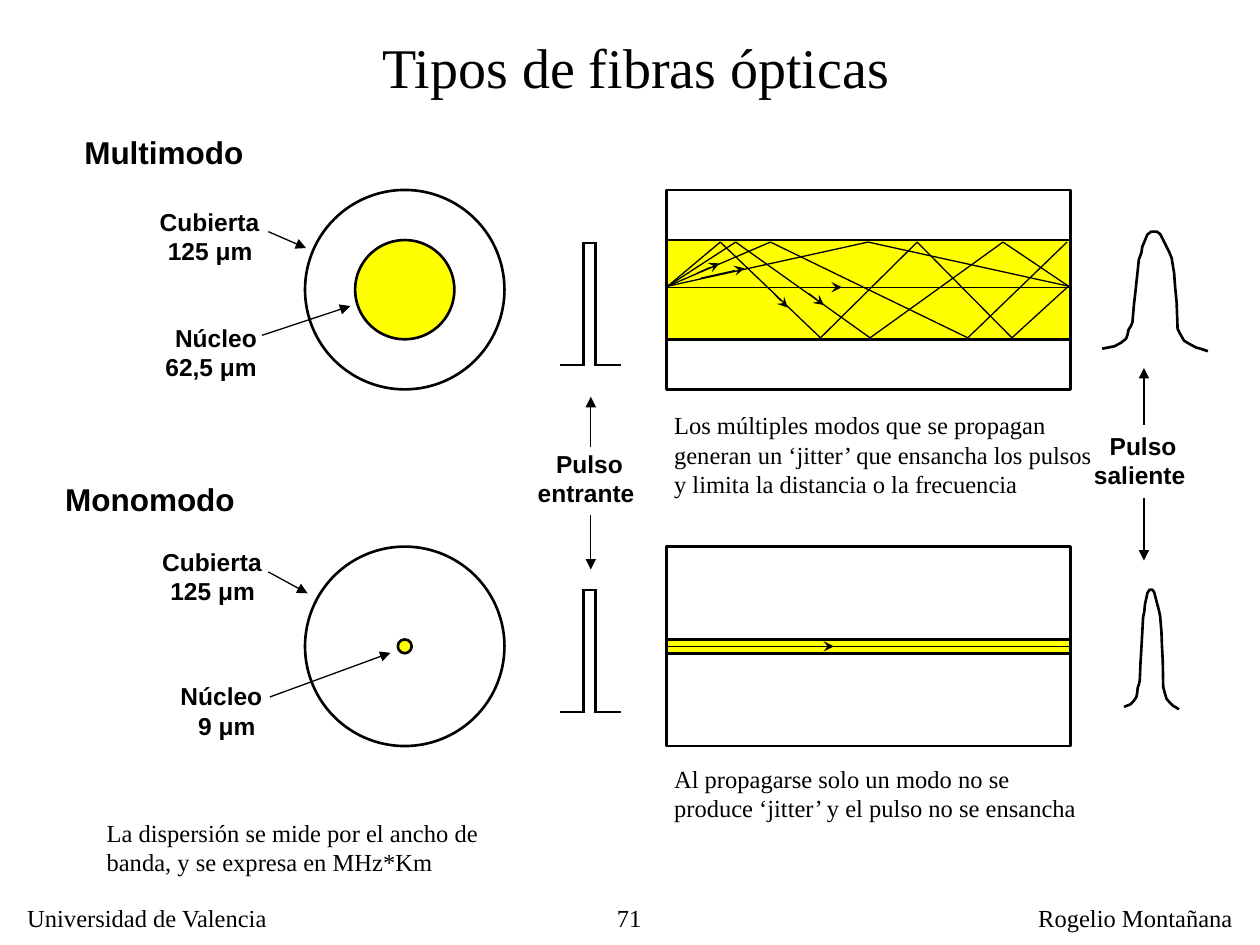
from itertools import cycle, pairwise

from lxml.etree import SubElement
from pptx import Presentation
from pptx.dml.color import RGBColor
from pptx.enum.shapes import MSO_CONNECTOR, MSO_SHAPE
from pptx.enum.text import MSO_ANCHOR, MSO_AUTO_SIZE, PP_ALIGN
from pptx.oxml.ns import qn
from pptx.util import Cm, Pt

BLACK = RGBColor(0x00, 0x00, 0x00)
YELLOW = RGBColor(0xFF, 0xFF, 0x00)
SERIF = "Times New Roman"
SANS = "Arial"
THICK = 1.5
THIN = 0.75

SECTION_X = 8.16
CLADDING = 4.02
FIBRE_LEFT = 13.44
FIBRE_WIDTH = 8.14
MULTIMODE_Y = 5.84
MONOMODE_Y = 13.03

ENTRY = (13.46, 5.77)
EXIT = (21.54, 5.77)
CORE_TOP = 4.88
CORE_BOTTOM = 6.81
MODES = [
    ([17.5], True),
    ([15.53, 19.51, 21.51], False),
    ([14.83, 17.54, 20.22], True),
    ([14.52, 16.54, 18.49, 20.4], True),
]
RAY_DIRECTIONS = [
    ((14.12, 5.61), (15.01, 5.41)),
    ((14.05, 5.51), (14.5, 5.31)),
    ((16.41, 5.79), (16.97, 5.79)),
    ((15.62, 5.94), (15.88, 6.2)),
    ((16.31, 5.92), (16.61, 6.15)),
    ((16.38, MONOMODE_Y), (16.81, MONOMODE_Y)),
]
POINTERS = [
    ((5.41, 4.67), (6.17, 5.0)),
    ((5.28, 6.76), (7.06, 6.17)),
    ((5.41, 11.53), (6.2, 11.96)),
    ((5.44, 14.05), (7.87, 13.16)),
    ((11.91, 9.02), (11.91, 8.0)),
    ((11.91, 10.39), (11.91, 11.48)),
    ((23.06, 8.56), (23.06, 7.42)),
    ((23.06, 10.03), (23.06, 11.3)),
]
OUTPUT_PROFILE = [
    (0, 2.36), (0.25, 2.31), (0.38, 2.24), (0.48, 2.16), (0.51, 2.08),
    (0.53, 1.98), (0.58, 1.9), (0.61, 1.83), (0.64, 1.47), (0.66, 1.3),
    (0.71, 0.84), (0.74, 0.56), (0.79, 0.43), (0.81, 0.3), (0.84, 0.23),
    (0.91, 0.06), (0.99, 0), (1.1, 0), (1.17, 0.05), (1.27, 0.25),
    (1.35, 0.41), (1.4, 0.53), (1.42, 0.66), (1.45, 0.84), (1.47, 1.12),
    (1.5, 1.42), (1.52, 1.96), (1.57, 2.06), (1.65, 2.2), (1.75, 2.26),
    (1.9, 2.34), (1.98, 2.36), (2.13, 2.41),
]

HEADINGS = [
    ((1.35, 2.55, 3.91, 1.02), "Multimodo"),
    ((0.87, 9.55, 4.31, 1.02), "Monomodo"),
]
PART_LABELS = [
    ((2.97, 4.04, 2.51, 1.45), ["Cubierta", "125 μm "]),
    ((2.97, 6.38, 2.46, 1.45), ["Núcleo", "62,5 μm "]),
    ((3.02, 10.9, 2.51, 1.45), ["Cubierta", "125 μm "]),
    ((3.38, 13.61, 2.16, 1.45), ["Núcleo", "9 μm "]),
]
PULSE_LABELS = [
    ((10.49, 8.92, 2.79, 1.45), ["Pulso", "entrante "]),
    ((21.8, 8.56, 2.49, 1.45), ["Pulso", "saliente "]),
]
EXPLANATIONS = [
    ((13.34, 8.15, 9.09, 2.03),
     "Los múltiples modos que se propagan generan un ‘jitter’ que ensancha "
     "los pulsos y limita la distancia o la frecuencia"),
    ((13.34, 15.27, 8.69, 1.45),
     "Al propagarse solo un modo no se produce ‘jitter’ y el pulso no se ensancha"),
    ((1.9, 16.36, 8.46, 1.45),
     "La dispersión se mide por el ancho de banda, y se expresa en MHz*Km"),
]
FOOTERS = [
    ((0.3, 18.08, 5.41, 0.86), "Universidad de Valencia", PP_ALIGN.LEFT),
    ((10.49, 18.08, 2.69, 0.79), "71", PP_ALIGN.RIGHT),
    ((20.68, 18.08, 4.42, 0.86), "Rogelio Montañana", PP_ALIGN.LEFT),
]


def write_run(paragraph, text, font_name, size, bold=False):
    run = paragraph.add_run()
    run.text = text
    run.font.name = font_name
    run.font.size = Pt(size)
    run.font.bold = bold
    run.font.color.rgb = BLACK


def add_title(slide, text):
    title = slide.shapes.title
    title.left, title.top, title.width, title.height = map(Cm, (7.44, 0.53, 10.77, 1.63))
    frame = title.text_frame
    frame.word_wrap = False
    frame.auto_size = MSO_AUTO_SIZE.NONE
    frame.vertical_anchor = MSO_ANCHOR.TOP
    paragraph = frame.paragraphs[0]
    paragraph.alignment = PP_ALIGN.CENTER
    paragraph.line_spacing = 1.0
    write_run(paragraph, text, SERIF, 32)


def add_label(slide, box, lines, font_name=SANS, size=14, bold=True,
              align=PP_ALIGN.CENTER, wrap=False):
    frame = slide.shapes.add_textbox(*map(Cm, box)).text_frame
    frame.word_wrap = wrap
    frame.auto_size = MSO_AUTO_SIZE.SHAPE_TO_FIT_TEXT
    for index, line in enumerate(lines):
        paragraph = frame.add_paragraph() if index else frame.paragraphs[0]
        paragraph.alignment = align
        write_run(paragraph, line, font_name, size, bold)


def outline(shape, fill=None):
    shape.shadow.inherit = False
    if fill is None:
        shape.fill.background()
    else:
        shape.fill.solid()
        shape.fill.fore_color.rgb = fill
    shape.line.color.rgb = BLACK
    shape.line.width = Pt(THICK)


def add_centred(slide, preset, centre_x, centre_y, width, height, fill=None):
    box = (centre_x - width / 2, centre_y - height / 2, width, height)
    outline(slide.shapes.add_shape(preset, *map(Cm, box)), fill)


def add_line(slide, start, end, weight=THIN, arrowhead=None):
    line = slide.shapes.add_connector(MSO_CONNECTOR.STRAIGHT, *map(Cm, (*start, *end)))
    line.line.color.rgb = BLACK
    line.line.width = Pt(weight)
    properties = line._element.spPr
    if arrowhead:
        SubElement(properties.find(qn("a:ln")), qn("a:tailEnd"), type=arrowhead)
    SubElement(properties, qn("a:effectLst"))


def add_fibre(slide, centre_y, core):
    fibre_x = FIBRE_LEFT + FIBRE_WIDTH / 2
    for diameter, fill in ((CLADDING, None), (core, YELLOW)):
        add_centred(slide, MSO_SHAPE.OVAL, SECTION_X, centre_y, diameter, diameter, fill)
        add_centred(slide, MSO_SHAPE.RECTANGLE, fibre_x, centre_y, FIBRE_WIDTH, diameter, fill)


def add_rays(slide):
    for bounces, reaches_exit in MODES:
        ray = [ENTRY, *zip(bounces, cycle((CORE_TOP, CORE_BOTTOM)))]
        for start, end in pairwise(ray + [EXIT] if reaches_exit else ray):
            add_line(slide, start, end)
    for axis_y in (5.79, MONOMODE_Y):
        add_line(slide, (FIBRE_LEFT, axis_y), (FIBRE_LEFT + FIBRE_WIDTH, axis_y))
    for start, end in RAY_DIRECTIONS:
        add_line(slide, start, end, arrowhead="stealth")


def add_input_pulse(slide, top):
    base = top + 2.46
    for edge in (11.76, 12.01):
        add_line(slide, (edge, base), (edge, top), THICK)
    for left, right, y in ((11.28, 11.79, base), (11.73, 12.04, top), (11.98, 12.52, base)):
        add_line(slide, (left, y), (right, y), THICK)


def add_output_pulse(slide, left, top, spread):
    points = [(Cm(left + x * spread), Cm(top + y)) for x, y in OUTPUT_PROFILE]
    builder = slide.shapes.build_freeform(*points[0])
    builder.add_line_segments(points[1:], close=False)
    outline(builder.convert_to_shape())


def main():
    presentation = Presentation()
    presentation.slide_width = Cm(25.4)
    presentation.slide_height = Cm(19.05)
    slide = presentation.slides.add_slide(presentation.slide_layouts[5])

    for box, text, align in FOOTERS:
        add_label(slide, box, [text], SERIF, bold=False, align=align, wrap=text == "71")
    for box, text in HEADINGS:
        add_label(slide, box, [text], size=18)
    for box, lines in PART_LABELS:
        add_label(slide, box, lines, align=PP_ALIGN.RIGHT)
    add_title(slide, "Tipos de fibras ópticas")

    add_fibre(slide, MULTIMODE_Y, 2.0)
    add_fibre(slide, MONOMODE_Y, 0.28)
    add_rays(slide)
    for top in (4.9, 11.89):
        add_input_pulse(slide, top)
    add_output_pulse(slide, 22.22, 4.67, 1)
    add_output_pulse(slide, 22.66, 11.89, 0.52)

    for start, end in POINTERS:
        add_line(slide, start, end, arrowhead="triangle")
    for box, lines in PULSE_LABELS:
        add_label(slide, box, lines)
    for box, text in EXPLANATIONS:
        add_label(slide, box, [text], SERIF, bold=False, align=PP_ALIGN.LEFT, wrap=True)

    presentation.save("out.pptx")


if __name__ == "__main__":
    main()
